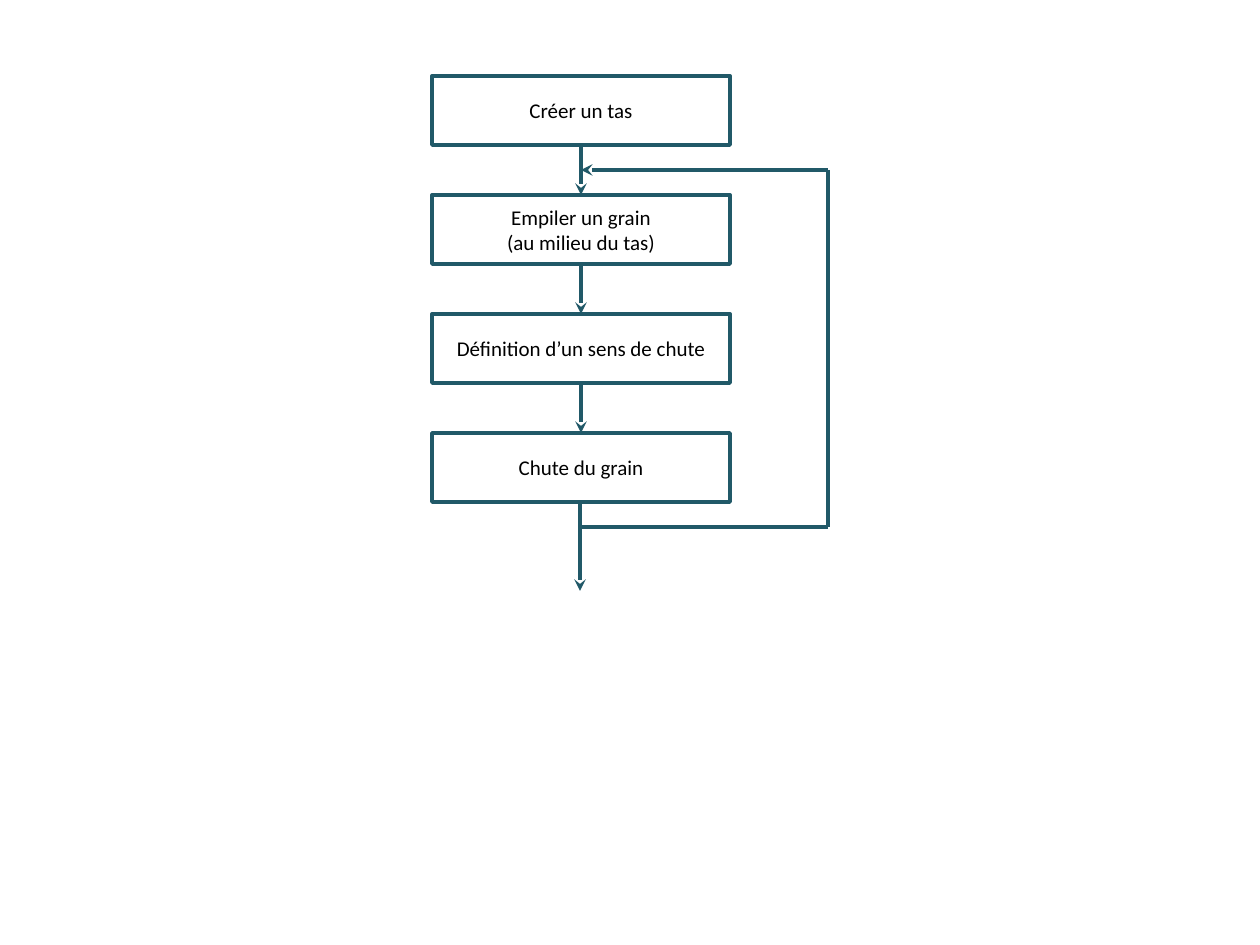
from dataclasses import dataclass

import lxml.etree
import pptx
import pptx.dml.color
import pptx.enum.shapes
import pptx.enum.text
import pptx.oxml.ns
import pptx.slide
import pptx.util


@dataclass(frozen=True)
class Theme:
    line: pptx.dml.color.RGBColor = pptx.dml.color.RGBColor(0x21, 0x59, 0x68)
    text: pptx.dml.color.RGBColor = pptx.dml.color.RGBColor(0, 0, 0)
    font: str = "Calibri"
    size: int = 12
    width: float = 2.25


@dataclass(frozen=True)
class Box:
    left: int
    top: int
    width: int
    height: int
    text: str


@dataclass(frozen=True)
class Line:
    x1: int
    y1: int
    x2: int
    y2: int
    arrow: bool = False


THEME = Theme()
DPI = 126
LEFT, TOP, WIDTH, HEIGHT, GAP = 432, 76, 298, 69, 50
MID = LEFT + WIDTH // 2
SIDE = 828
STEPS = (
    "Créer un tas",
    "Empiler un grain\n(au milieu du tas)",
    "Définition d’un sens de chute",
    "Chute du grain",
)


def px(count: int) -> pptx.util.Emu:
    return pptx.util.Emu(round(count * 914400 / DPI))


def stroke(line) -> None:
    line.color.rgb = THEME.line
    line.width = pptx.util.Pt(THEME.width)


def draw_box(slide: pptx.slide.Slide, box: Box) -> None:
    shape = slide.shapes.add_shape(
        pptx.enum.shapes.MSO_SHAPE.RECTANGLE,
        px(box.left), px(box.top), px(box.width), px(box.height),
    )
    shape.shadow.inherit = False
    shape.fill.background()
    stroke(shape.line)
    frame = shape.text_frame
    frame.text = box.text
    frame.word_wrap = True
    frame.vertical_anchor = pptx.enum.text.MSO_ANCHOR.MIDDLE
    for par in frame.paragraphs:
        par.alignment = pptx.enum.text.PP_ALIGN.CENTER
        par.font.name = THEME.font
        par.font.size = pptx.util.Pt(THEME.size)
        par.font.color.rgb = THEME.text


def draw_line(slide: pptx.slide.Slide, line: Line) -> None:
    shape = slide.shapes.add_connector(
        pptx.enum.shapes.MSO_CONNECTOR.STRAIGHT,
        px(line.x1), px(line.y1), px(line.x2), px(line.y2),
    )
    stroke(shape.line)
    qn = pptx.oxml.ns.qn
    props = shape.element.spPr
    if line.arrow:
        lxml.etree.SubElement(props.find(qn("a:ln")), qn("a:tailEnd"), type="stealth")
    lxml.etree.SubElement(props, qn("a:effectLst"))


def main() -> None:
    deck = pptx.Presentation()
    deck.slide_width, deck.slide_height = px(1260), px(945)
    slide = deck.slides.add_slide(deck.slide_layouts[6])

    boxes = [
        Box(LEFT, TOP + i * (HEIGHT + GAP), WIDTH, HEIGHT, text)
        for i, text in enumerate(STEPS)
    ]
    for box in boxes:
        draw_box(slide, box)

    for box in boxes[:-1]:
        base = box.top + HEIGHT
        draw_line(slide, Line(MID, base, MID, base + GAP, arrow=True))

    end = boxes[-1].top + HEIGHT
    back = boxes[1].top - GAP // 2
    fork = end + GAP // 2
    for line in (
        Line(MID - 1, end, MID - 1, end + 89, arrow=True),
        Line(SIDE, back, MID, back, arrow=True),
        Line(SIDE, back, SIDE, fork),
        Line(SIDE, fork, MID, fork),
    ):
        draw_line(slide, line)

    deck.save("out.pptx")


if __name__ == "__main__":
    main()
